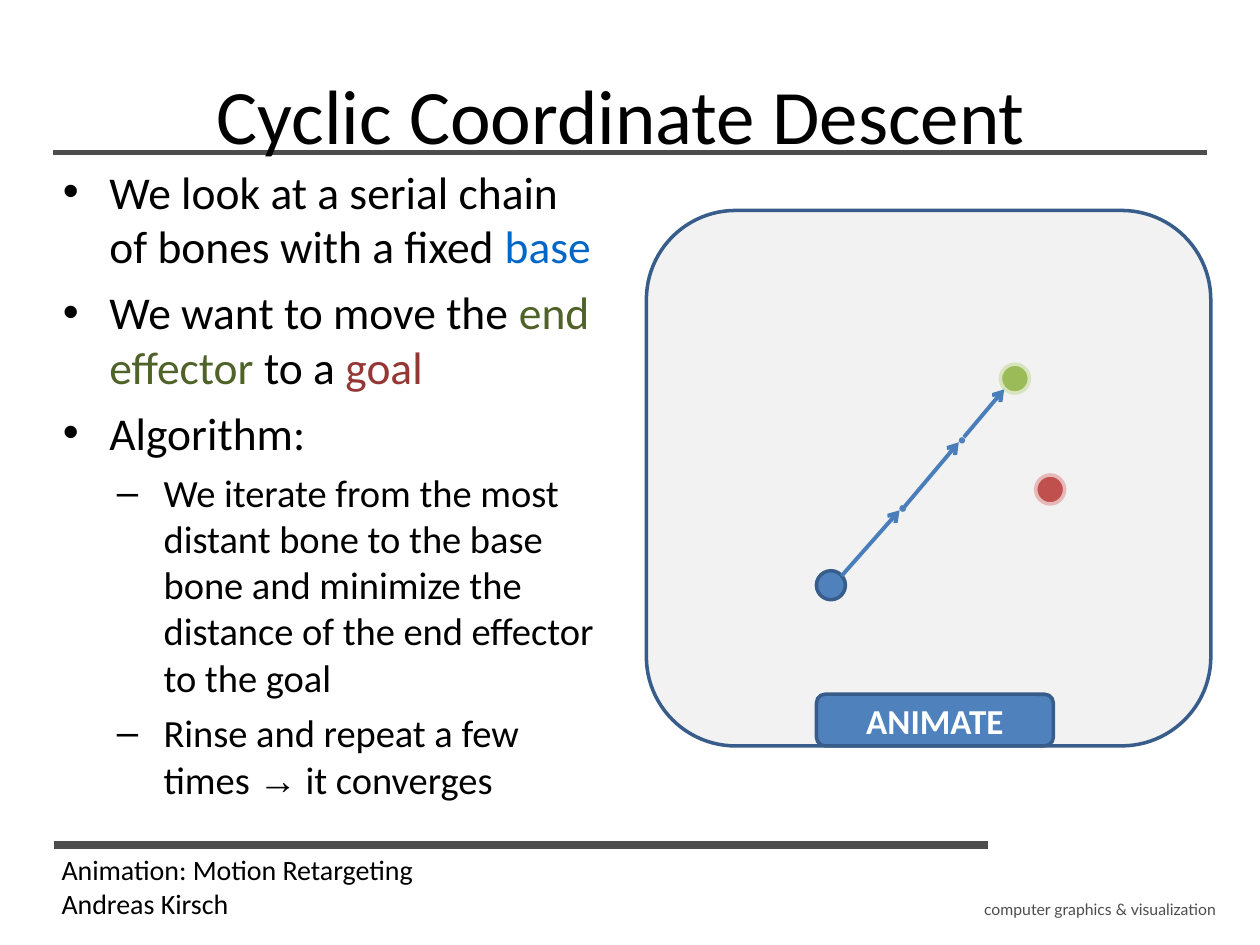
from pptx import Presentation
from pptx.dml.color import RGBColor
from pptx.enum.shapes import MSO_CONNECTOR, MSO_SHAPE
from pptx.enum.text import MSO_ANCHOR, PP_ALIGN
from pptx.oxml.ns import qn
from pptx.util import Inches, Pt
from lxml.etree import SubElement

THEME = dict(
    font="Calibri", brand_font="Lato", symbol_font="Arial",
    title=44, body=26, sub=22, button=20, footer=16, brand=9,
    black="000000", white="FFFFFF", rule="4D4D4D", panel="F2F2F2",
    blue="4F81BD", blue_edge="385D8A", bone="4A7EBB",
    green="9BBB59", green_edge="D7E4BD", red="C0504D", red_edge="E6B9B8",
    base_word="0067C6", effector_word="4F6228", goal_word="953735",
)

TITLE = "Cyclic Coordinate Descent "
FOOTER = ["Animation: Motion Retargeting", "Andreas Kirsch"]
BRAND = "computer graphics & visualization"

# level, then runs of (text, format)
BODY = [
    (0, [("We look at a serial chain of bones with a fixed ", {}),
         ("base", {"color": "base_word"})]),
    (0, [("We want to move the ", {}),
         ("end effector", {"color": "effector_word"}),
         (" to a ", {}),
         ("goal", {"color": "goal_word"})]),
    (0, [("Algorithm:", {})]),
    (1, [("We iterate from the most distant bone to the base bone and "
          "minimize the distance of the end effector to the goal", {})]),
    (1, [("Rinse and repeat a few times ", {}),
         ("→", {"font": "symbol_font"}),
         (" it converges", {})]),
]
# bullet, text indent (in), space before (pt), type size
LEVELS = [("•", 0.38, 6.5, "body"), ("–", 0.81, 5.5, "sub")]
HANGING = 0.37

# start, end, colour, width
RULES = [((0.42, 1.21), (9.58, 1.21), "rule", 3),
         ((0.43, 6.71), (7.84, 6.71), "rule", 4.5)]
BONES = [((6.68, 4.57), (7.14, 4.05)),
         ((7.18, 4.02), (7.61, 3.51)),
         ((7.65, 3.47), (7.97, 3.09))]
# left, top, diameter, fill, edge, edge width
NODES = [(7.94, 2.89, 0.23, "green", "green_edge", 2),
         (6.48, 4.53, 0.23, "blue", "blue_edge", 2),
         (8.22, 3.77, 0.23, "red", "red_edge", 2),
         (7.61, 3.47, 0.05, "blue", None, 0),
         (7.14, 4.01, 0.05, "blue", "blue", 0.25)]


def rgb(name):
    return RGBColor.from_string(THEME[name])


def add_run(p, text, size="body", color="black", font="font", bold=False):
    r = p.add_run()
    r.text = text
    r.font.size = Pt(THEME[size])
    r.font.name = THEME[font]
    r.font.bold = bold
    r.font.color.rgb = rgb(color)


def add_box(s, left, top, width, height):
    tf = s.shapes.add_textbox(*map(Inches, (left, top, width, height))).text_frame
    tf.word_wrap = True
    return tf


def paragraphs(tf, items):
    """Yield a paragraph of the frame with each item."""
    for i, item in enumerate(items):
        yield (tf.add_paragraph() if i else tf.paragraphs[0]), item


def add_shape(s, kind, left, top, width, height, fill, edge, edge_width=2):
    sp = s.shapes.add_shape(kind, *map(Inches, (left, top, width, height)))
    sp.shadow.inherit = False
    sp.fill.solid()
    sp.fill.fore_color.rgb = rgb(fill)
    if edge:
        sp.line.color.rgb = rgb(edge)
        sp.line.width = Pt(edge_width)
    else:
        sp.line.fill.background()
    return sp


def add_line(s, start, end, color, width, arrow=False):
    c = s.shapes.add_connector(MSO_CONNECTOR.STRAIGHT, *map(Inches, start + end))
    c.line.color.rgb = rgb(color)
    c.line.width = Pt(width)
    if arrow:
        SubElement(c.line._get_or_add_ln(), qn("a:tailEnd"), type="arrow")
    SubElement(c.element.spPr, qn("a:effectLst"))


def set_bullet(p, char, indent):
    pPr = p._p.get_or_add_pPr()
    pPr.set("marL", str(Inches(indent)))
    pPr.set("indent", str(-Inches(HANGING)))
    color = SubElement(pPr, qn("a:buClr"))
    SubElement(color, qn("a:srgbClr"), val=THEME["black"])
    SubElement(pPr, qn("a:buFont"), typeface=THEME["symbol_font"])
    SubElement(pPr, qn("a:buChar"), char=char)


def add_title(s):
    title = s.shapes.title
    title.left, title.top, title.width, title.height = map(
        Inches, (0.39, 0.23, 9.22, 1.09))
    tf = title.text_frame
    tf.vertical_anchor = MSO_ANCHOR.BOTTOM
    p = tf.paragraphs[0]
    p.alignment = PP_ALIGN.CENTER
    add_run(p, TITLE, size="title")
    s.shapes.element.append(title.element)  # in front of the rule below it


def add_footer(s):
    p = add_box(s, 7.68, 7.09, 2.1, 0.4).paragraphs[0]
    p.alignment = PP_ALIGN.CENTER
    add_run(p, BRAND, size="brand", color="rule", font="brand_font")
    for p, text in paragraphs(add_box(s, 0.39, 6.72, 7.34, 0.64), FOOTER):
        add_run(p, text, size="footer")


def add_body(s):
    tf = add_box(s, 0.39, 1.25, 4.45, 5.45)
    for p, (level, runs) in paragraphs(tf, BODY):
        char, indent, before, size = LEVELS[level]
        p.level = level
        p.space_before = Pt(0 if p._p is tf.paragraphs[0]._p else before)
        set_bullet(p, char, indent)
        for text, fmt in runs:
            add_run(p, text, size=size, **fmt)


def add_diagram(s):
    rounded = MSO_SHAPE.ROUNDED_RECTANGLE
    add_shape(s, rounded, 5.13, 1.67, 4.48, 4.25, "panel", "blue_edge")
    button = add_shape(s, rounded, 6.48, 5.51, 1.88, 0.41, "blue", "blue_edge")
    button.text_frame.vertical_anchor = MSO_ANCHOR.MIDDLE
    p = button.text_frame.paragraphs[0]
    p.alignment = PP_ALIGN.CENTER
    add_run(p, "ANIMATE", size="button", color="white", bold=True)
    for left, top, size, *look in NODES:
        add_shape(s, MSO_SHAPE.OVAL, left, top, size, size, *look)
    for start, end in BONES:
        add_line(s, start, end, "bone", 2.25, arrow=True)


def main():
    prs = Presentation()
    prs.slide_width, prs.slide_height = Inches(10), Inches(7.5)
    s = prs.slides.add_slide(prs.slide_layouts[5])
    for rule in RULES:
        add_line(s, *rule)
    add_footer(s)
    add_title(s)
    add_body(s)
    add_diagram(s)
    prs.save("out.pptx")


if __name__ == "__main__":
    main()
